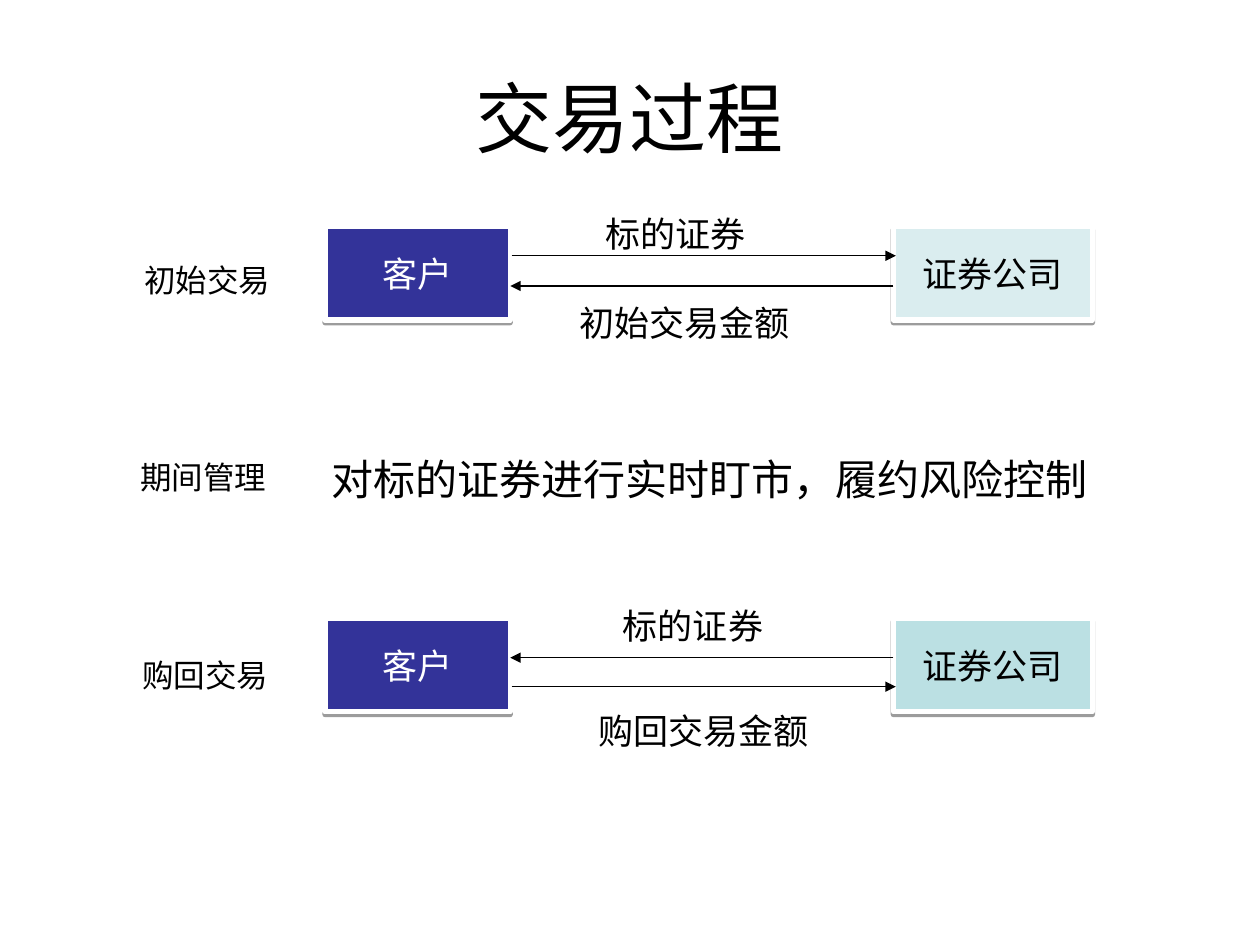
import pptx
import pptx.util
import pptx.dml.color
import pptx.enum.shapes
import pptx.enum.text
import pptx.oxml
import pptx.oxml.ns

Inches, Pt = pptx.util.Inches, pptx.util.Pt
ALIGN = pptx.enum.text.PP_ALIGN
ANCHOR = pptx.enum.text.MSO_ANCHOR
RECT = pptx.enum.shapes.MSO_SHAPE.RECTANGLE
LINE = pptx.enum.shapes.MSO_CONNECTOR.STRAIGHT

HEX = {"ink": "000000", "paper": "FFFFFF", "navy": "333399",
       "pale": "DAEDEF", "teal": "BBE0E3"}
FONT = "Noto Sans CJK SC"
NS = pptx.oxml.ns.nsdecls("a")
SHADOW = (f'<a:effectLst {NS}><a:outerShdw blurRad="0" dist="20320" dir="5400000" '
          'rotWithShape="0"><a:srgbClr val="000000"><a:alpha val="38000"/>'
          '</a:srgbClr></a:outerShdw></a:effectLst>')


def color(name):
    return pptx.dml.color.RGBColor.from_string(HEX[name])


def xml(text):
    return pptx.oxml.parse_xml(text)


def write(shape, text, size, ink="ink", font=FONT, align=ALIGN.CENTER,
          anchor=ANCHOR.MIDDLE, pad=(0.1, 0.05)):
    frame = shape.text_frame
    frame.word_wrap = True
    frame.vertical_anchor = anchor
    frame.margin_left = frame.margin_right = Inches(pad[0])
    frame.margin_top = frame.margin_bottom = Inches(pad[1])
    frame.text = text
    par = frame.paragraphs[0]
    par.alignment = align
    run = par.runs[0]
    run.font.size = Pt(size)
    run.font.name = font
    run.font.color.rgb = color(ink)
    if font == FONT:
        run.font.fill  # keeps the fill ahead of the typefaces
        run.font._element.append(xml(f'<a:ea {NS} typeface="{font}"/>'))


def block(slide, box, fill):
    shape = slide.shapes.add_shape(RECT, *map(Inches, box))
    shape.shadow.inherit = False
    shape.fill.solid()
    shape.fill.fore_color.rgb = color(fill)
    shape.line.fill.background()
    return shape


def label(slide, box, text):
    write(block(slide, box, "paper"), text, 20, anchor=ANCHOR.TOP)


def stage(slide, box, text):
    write(block(slide, box, "paper"), text, 18, pad=(0.09, 0.04))


def party(slide, box, text, fill, ink):
    shape = block(slide, box, fill)
    shape.line.color.rgb = color("paper")
    shape.line.width = Pt(3)
    props = shape._element.spPr
    props.remove(props.find(pptx.oxml.ns.qn("a:effectLst")))
    props.append(xml(SHADOW))
    write(shape, text, 20, ink)


def arrow(slide, start, end, y):
    line = slide.shapes.add_connector(LINE, *map(Inches, (start, y, end, y)))
    line.line.color.rgb = color("ink")
    line.line.width = Pt(0.75)
    line.line._get_or_add_ln().append(xml(f'<a:tailEnd {NS} type="triangle"/>'))
    line._element.spPr.append(xml(f"<a:effectLst {NS}/>"))


def text(slide, box, words, size, **style):
    write(slide.shapes.add_textbox(*map(Inches, box)), words, size, **style)


# Two parties, with one arrow each way between them
def trade(slide, box, upper, lower, fill, right, left):
    x, y, w, h = box
    for words, (dx, dy, wide, high) in (lower, upper):
        label(slide, (x + dx, y + dy, wide, high), words)
    client, broker = 1.47, 1.58
    far = x + w - broker
    party(slide, (x, y, client, h), "客户", "navy", "paper")
    party(slide, (far, y, broker, h), "证券公司", fill, "ink")
    near = x + client
    arrow(slide, near + 0.01, far + 0.02, y + right)
    arrow(slide, far, near, y + left)


def main():
    deck = pptx.Presentation()
    deck.slide_width, deck.slide_height = Inches(10), Inches(7.5)
    slide = deck.slides.add_slide(deck.slide_layouts[6])

    # Title
    text(slide, (0.5, 0.3, 9, 1.25), "交易过程", 44, font="Arial")

    # Stage names
    stage(slide, (1.02, 2.03, 1.25, 0.39), "初始交易")
    stage(slide, (0.98, 3.59, 1.27, 0.39), "期间管理")
    stage(slide, (1, 5.16, 1.26, 0.39), "购回交易")

    # Opening trade
    trade(slide, (2.58, 1.8, 6.09, 0.74),
          ("标的证券", (1.8, -0.16, 1.97, 0.41)),
          ("初始交易金额", (1.87, 0.54, 1.97, 0.36)),
          "pale", right=0.23, left=0.47)

    # Management in between
    text(slide, (2.63, 3.44, 6.07, 0.71), "对标的证券进行实时盯市，履约风险控制",
         24, align=ALIGN.JUSTIFY, pad=(0, 0))

    # Repurchase trade
    trade(slide, (2.58, 4.91, 6.09, 0.74),
          ("标的证券", (1.71, -0.16, 2.42, 0.41)),
          ("购回交易金额", (1.64, 0.67, 2.73, 0.44)),
          "teal", right=0.54, left=0.31)

    deck.save("out.pptx")


if __name__ == "__main__":
    main()
